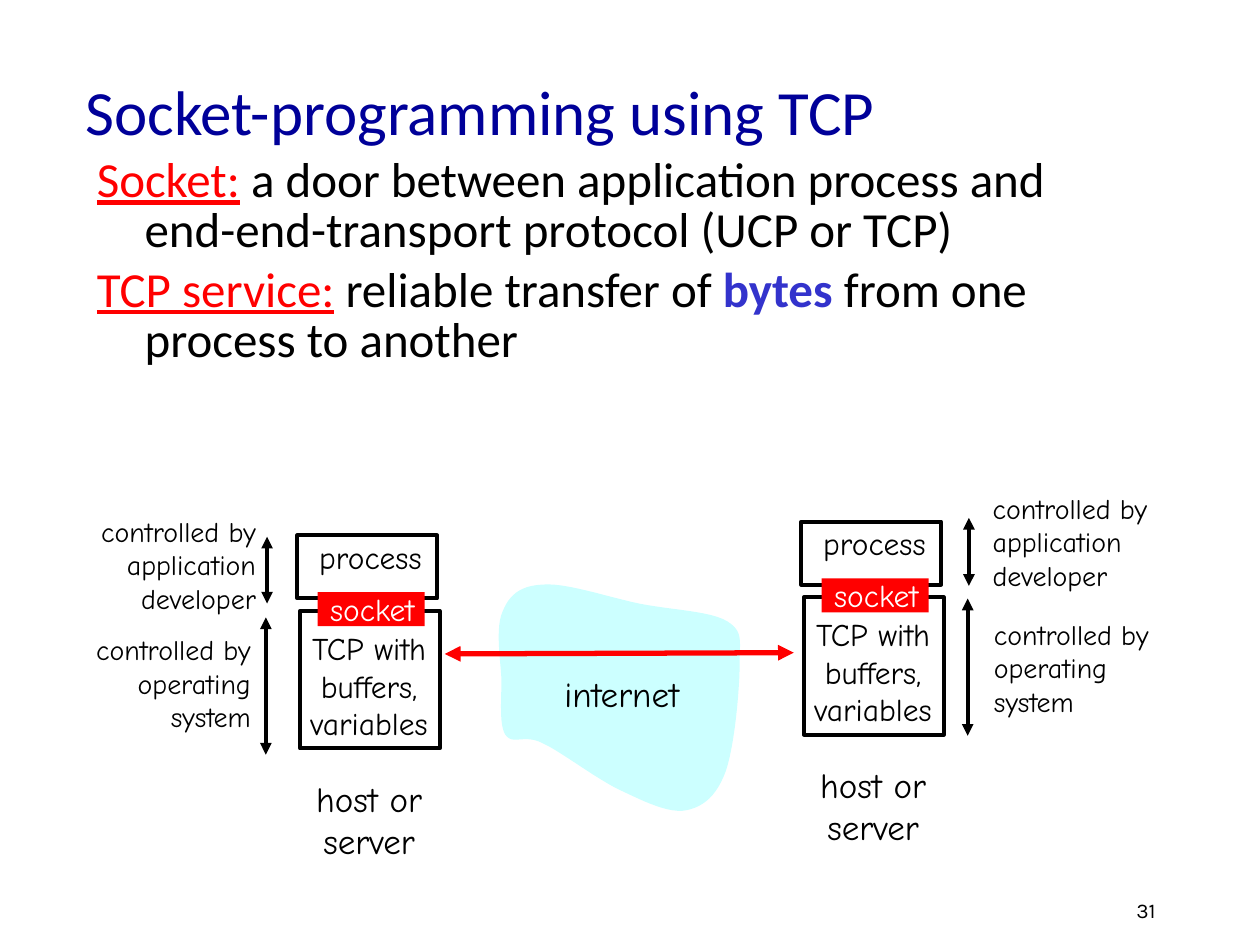
from lxml import etree
from pptx import Presentation
from pptx.dml.color import RGBColor
from pptx.enum.shapes import MSO_CONNECTOR, MSO_SHAPE
from pptx.enum.text import MSO_ANCHOR, MSO_AUTO_SIZE, PP_ALIGN
from pptx.oxml.ns import qn
from pptx.util import Inches, Pt

LEFT, MID, RIGHT = PP_ALIGN.LEFT, PP_ALIGN.CENTER, PP_ALIGN.RIGHT
TOP, MIDDLE = MSO_ANCHOR.TOP, MSO_ANCHOR.MIDDLE
GROW = MSO_AUTO_SIZE.SHAPE_TO_FIT_TEXT
RECT, LINE = MSO_SHAPE.RECTANGLE, MSO_CONNECTOR.STRAIGHT
BLACK, WHITE, RED, BLUE = "000000", "FFFFFF", "FF0000", "3333CC"
NAVY, AQUA = "000099", "CCFFFF"
HAND, SANS = "Comic Neue", "Calibri"

# Start point, then two control points and an end point for each curve
CLOUD = [
    (4.3, 4.64),
    (4.12, 4.65), (4.04, 4.73), (3.99, 4.85),
    (3.93, 4.98), (3.97, 5.22), (3.98, 5.39),
    (3.98, 5.55), (3.96, 5.75), (4.01, 5.83),
    (4.07, 5.92), (4.16, 5.82), (4.31, 5.9),
    (4.46, 5.97), (4.73, 6.18), (4.92, 6.27),
    (5.11, 6.36), (5.31, 6.46), (5.45, 6.43),
    (5.59, 6.4), (5.69, 6.31), (5.76, 6.12),
    (5.83, 5.92), (5.87, 5.47), (5.87, 5.27),
    (5.87, 5.08), (5.9, 5.01), (5.77, 4.93),
    (5.64, 4.85), (5.32, 4.84), (5.07, 4.79),
    (4.83, 4.74), (4.48, 4.62), (4.3, 4.64),
]


def rgb(code):
    return RGBColor.from_string(code)


def trace(knots, steps=12):
    """Return points along a chain of cubic curves."""
    points = [knots[0]]
    for i in range(0, len(knots) - 1, 3):
        for n in range(1, steps + 1):
            t = n / steps
            u = 1 - t
            parts = (u ** 3, 3 * u * u * t, 3 * u * t * t, t ** 3)
            points.append(tuple(
                sum(w * k[axis] for w, k in zip(parts, knots[i:i + 4]))
                for axis in (0, 1)))
    return points


class Deck:
    def __init__(self):
        self.prs = Presentation()
        self.prs.slide_width, self.prs.slide_height = Inches(10), Inches(7.5)
        self.slide = self.prs.slides.add_slide(self.prs.slide_layouts[6])
        self.shapes = self.slide.shapes

    def style(self, font, size, color, name):
        font.size, font.name = Pt(size), name
        font.color.rgb = rgb(color)

    def text(self, box, lines, size, align=MID, color=BLACK, name=HAND,
             anchor=MIDDLE, wrap=False):
        shape = self.shapes.add_textbox(*map(Inches, box))
        frame = shape.text_frame
        frame.word_wrap, frame.vertical_anchor = wrap, anchor
        if not wrap:
            frame.auto_size = GROW
        frame.text = "\n".join(lines)
        for par in frame.paragraphs:
            par.alignment = align
            self.style(par.font, size, color, name)

    def body(self, box, pars, size):
        """Add hanging paragraphs of (text, color, look) runs."""
        frame = self.shapes.add_textbox(*map(Inches, box)).text_frame
        frame.word_wrap = True
        for i, runs in enumerate(pars):
            par = frame.add_paragraph() if i else frame.paragraphs[0]
            par.line_spacing = 0.85
            if i:
                par.space_before = Pt(size * 0.2)
            props = par._p.get_or_add_pPr()
            props.set("marL", str(Inches(0.38)))
            props.set("indent", str(Inches(-0.38)))
            for words, color, look in runs:
                run = par.add_run()
                run.text = words
                self.style(run.font, size, color, SANS)
                run.font.underline = look == "under"
                run.font.bold = look == "bold"

    def paint(self, shape, fill, edge):
        shape.shadow.inherit = False
        if fill:
            shape.fill.solid()
            shape.fill.fore_color.rgb = rgb(fill)
        else:
            shape.fill.background()
        if edge:
            shape.line.color.rgb = rgb(edge)
            shape.line.width = Pt(2.25)
        else:
            shape.line.fill.background()

    def rect(self, box, fill=None, edge=None):
        self.paint(self.shapes.add_shape(RECT, *map(Inches, box)), fill, edge)

    def cloud(self, knots, fill):
        points = [tuple(map(Inches, p)) for p in trace(knots)]
        build = self.shapes.build_freeform(*points[0])
        build.add_line_segments(points[1:], close=True)
        self.paint(build.convert_to_shape(), fill, None)

    def arrow(self, start, end, color=BLACK, width=2.25):
        """Add a line with a head at both ends."""
        line = self.shapes.add_connector(LINE, *map(Inches, start + end))
        line.line.color.rgb = rgb(color)
        line.line.width = Pt(width)
        edge = line.line._get_or_add_ln()
        for tag in ("a:headEnd", "a:tailEnd"):
            etree.SubElement(edge, qn(tag)).set("type", "triangle")
        etree.SubElement(line._element.spPr, qn("a:effectLst"))

    def host(self, x, y):
        self.rect((x + 0.05, y + 0.03, 1.11, 0.5), WHITE, BLACK)
        self.text((x + 0.08, y, 1.1, 0.4), ["process"], 18)
        self.text((x, y + 0.72, 1.24, 1), ["TCP with", "buffers,", "variables"], 18)
        self.rect((x + 0.07, y + 0.63, 1.11, 1.09), edge=BLACK)
        self.rect((x + 0.21, y + 0.48, 0.85, 0.27), RED)
        self.text((x + 0.16, y + 0.41, 0.97, 0.4), ["socket"], 18, color=WHITE)
        self.text((x + 0.05, y + 1.9, 1.14, 0.77), ["host or", "server"], 20)

    def owner(self, x, y, lines, align):
        self.text((x, y, 1.56, 0.9), ["controlled by"] + lines, 16, align)


def main():
    deck = Deck()
    deck.text((0.58, 0.25, 8.5, 1.25), ["Socket-programming using TCP"], 36,
              LEFT, NAVY, SANS, wrap=True)
    deck.body((0.67, 1.2, 8.5, 1.71), [
        [("Socket:", RED, "under"),
         (" a door between application process and "
          "end-end-transport protocol (UCP or TCP)", BLACK, "")],
        [("TCP service:", RED, "under"),
         (" reliable transfer of ", BLACK, ""),
         ("bytes ", BLUE, "bold"),
         ("from one process to another", BLACK, "")],
    ], 28)

    for x, y in ((2.31, 4.22), (6.31, 4.11)):
        deck.host(x, y)

    app, system = ["application", "developer"], ["operating", "system"]
    for x, y, lines, align in (
            (0.57, 4.03, app, RIGHT), (0.53, 4.97, system, RIGHT),
            (7.78, 3.85, app, LEFT), (7.79, 4.85, system, LEFT)):
        deck.owner(x, y, lines, align)
    for x, low, high in ((2.12, 4.79, 4.26), (2.11, 5.99, 4.9),
                         (7.69, 4.65, 4.11), (7.68, 5.84, 4.75)):
        deck.arrow((x, low), (x, high))

    deck.cloud(CLOUD, AQUA)
    deck.text((4.3, 5.29, 1.27, 0.43), ["internet"], 20)
    deck.arrow((6.3, 5.18), (3.53, 5.19), RED, 3)
    deck.text((6.1, 7.07, 3.17, 0.31), ["31"], 12, RIGHT, name="Karla",
              anchor=TOP, wrap=True)
    deck.prs.save("out.pptx")


if __name__ == "__main__":
    main()
